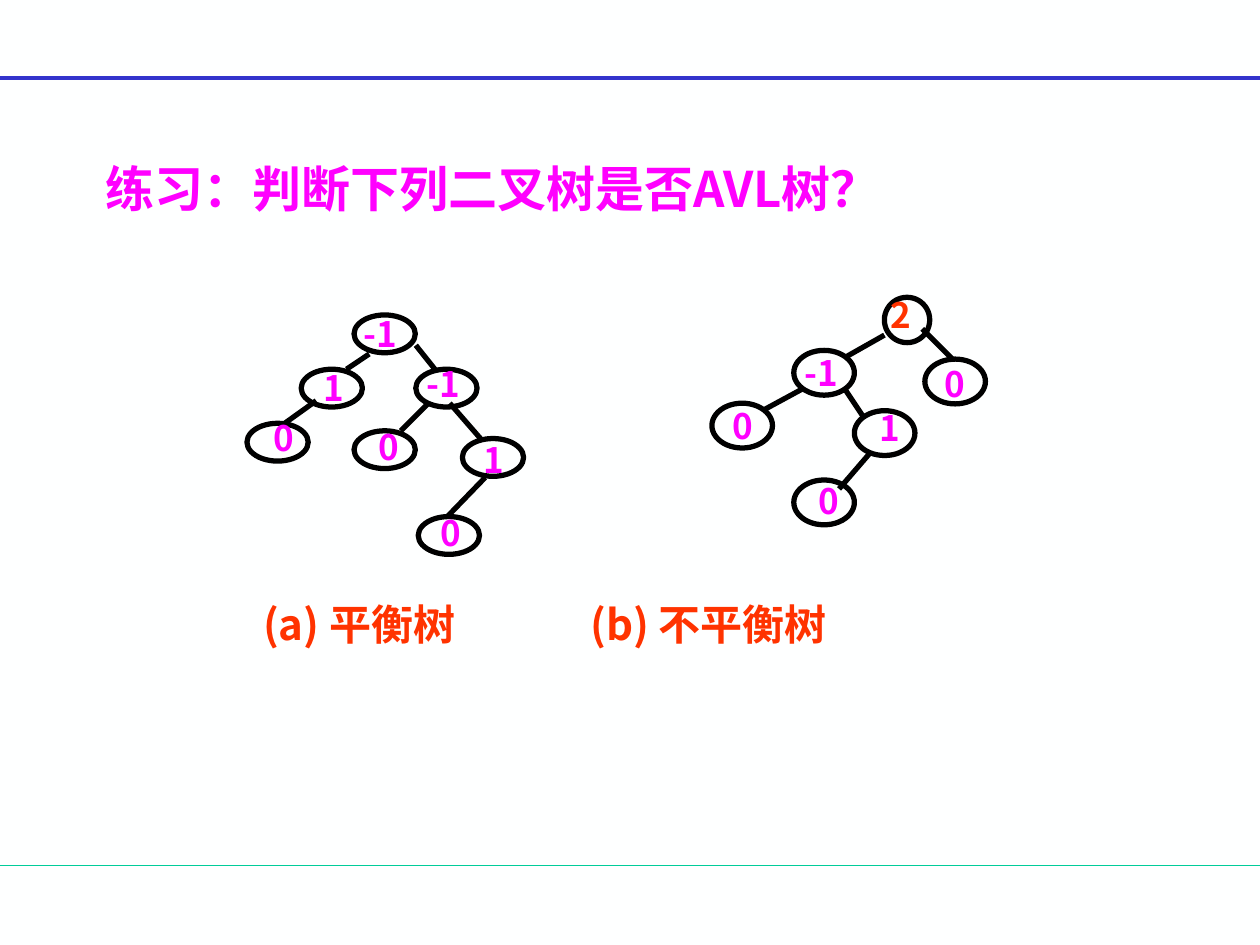
from dataclasses import dataclass

from pptx import Presentation
from pptx.dml.color import RGBColor
from pptx.enum.shapes import MSO_CONNECTOR as Connector, MSO_SHAPE as Preset
from pptx.enum.text import MSO_ANCHOR as Anchor, MSO_AUTO_SIZE as AutoSize, PP_ALIGN as Align
from pptx.oxml.ns import qn
from pptx.util import Pt
from lxml.etree import SubElement


@dataclass(frozen=True)
class Theme:
    """Colours, font and type sizes of the slide."""
    font: str = "Noto Sans CJK SC"
    background: str = "FEFFFF"
    ink: str = "000000"
    accent: str = "FF00FF"
    alert: str = "FF3300"
    header_rule: str = "3333CC"
    footer_rule: str = "00CC99"
    title_size: float = 28
    caption_size: float = 24
    label_size: float = 20
    stroke: float = 3


THEME = Theme()
LABEL_WIDTHS = {1: 26.6, 2: 38.2}
LABEL_HEIGHT = 31.7

# Nodes hold text, node left and top, label left and top; edges hold both ends.
BALANCED_NODES = [
    ("-1", 202.3, 180, 200.9, 175),
    ("1", 172.1, 211, 177.8, 205.9),
    ("-1", 237.6, 211, 236.9, 203.8),
    ("0", 141.1, 241.9, 149, 234.7),
    ("0", 202.3, 246.2, 209.5, 239.8),
    ("1", 264.2, 250.6, 269.3, 247),
    ("0", 239, 295.2, 244.8, 288.7),
]
BALANCED_EDGES = [
    (211, 202.3, 198, 211),
    (237.6, 197.3, 249.1, 211.7),
    (180.7, 229, 162.7, 241.9),
    (244.8, 230.4, 229, 246.2),
    (257, 230.4, 275.8, 252),
    (277.2, 272.9, 255.6, 295.2),
]
UNBALANCED_ROOT = [("2", 505.4, 169.9, 501.8, 164.2)]
UNBALANCED_NODES = [
    ("-1", 453.6, 200.2, 452.9, 197.3),
    ("0", 528.5, 205.2, 532.8, 203.8),
    ("0", 406.8, 230.4, 411.8, 227.5),
    ("1", 488.2, 234.7, 495.4, 229),
    ("0", 453.6, 274.3, 460.8, 270.7),
]
UNBALANCED_EDGES = [
    (505.4, 191.5, 482.4, 204.5),
    (527, 187.9, 545, 205.9),
    (459.4, 221.8, 435.6, 234.7),
    (482.4, 221.8, 493.9, 239),
    (497.5, 258.5, 479.5, 279.4),
]


def write_text(shape, text, size, color):
    """Fill a shape with one bold, left-aligned paragraph."""
    frame = shape.text_frame
    frame.text = text
    frame.word_wrap = True
    frame.auto_size = AutoSize.NONE
    frame.vertical_anchor = Anchor.TOP
    paragraph = frame.paragraphs[0]
    paragraph.alignment = Align.LEFT
    for run in paragraph.runs:
        run.font.name = THEME.font
        run.font.size = Pt(size)
        run.font.bold = True
        run.font.color.rgb = RGBColor.from_string(color)
        SubElement(run.font._element, qn("a:ea"), typeface=THEME.font)
    return paragraph


def add_title(slide, text, left, top, width, height):
    """Place and format the title placeholder."""
    title = slide.shapes.title
    title.left, title.top, title.width, title.height = map(Pt, (left, top, width, height))
    write_text(title, text, THEME.title_size, THEME.accent)


def add_text(slide, text, left, top, width, height, size, color):
    """Add a text box and return its paragraph."""
    box = slide.shapes.add_textbox(Pt(left), Pt(top), Pt(width), Pt(height))
    return write_text(box, text, size, color)


def add_captions(slide, first, second, tab_position):
    """Add both tree captions on one line, separated by a tab stop."""
    paragraph = add_text(slide, f"{first}\t{second}", 143.3, 338.4, 432, 64.8,
                         THEME.caption_size, THEME.alert)
    tabs = SubElement(paragraph._p.get_or_add_pPr(), qn("a:tabLst"))
    SubElement(tabs, qn("a:tab"), pos=str(Pt(tab_position)), algn="l")


def add_line(slide, ends, color=THEME.ink, weight=THEME.stroke):
    """Add a straight line without a shadow."""
    line = slide.shapes.add_connector(Connector.STRAIGHT, *map(Pt, ends))
    line.line.color.rgb = RGBColor.from_string(color)
    line.line.width = Pt(weight)
    SubElement(line._element.spPr, qn("a:effectLst"))


def add_node(slide, left, top, width, height):
    """Add an unfilled tree node."""
    node = slide.shapes.add_shape(Preset.OVAL, Pt(left), Pt(top), Pt(width), Pt(height))
    node.shadow.inherit = False
    node.fill.background()
    node.line.color.rgb = RGBColor.from_string(THEME.ink)
    node.line.width = Pt(THEME.stroke)


def add_tree(slide, nodes, edges, width, height, color=THEME.accent):
    """Add nodes, edges and balance factors of a tree."""
    for _, left, top, _, _ in nodes:
        add_node(slide, left, top, width, height)
    for ends in edges:
        add_line(slide, ends)
    for text, _, _, left, top in nodes:
        add_text(slide, text, left, top, LABEL_WIDTHS[len(text)], LABEL_HEIGHT,
                 THEME.label_size, color)


def main():
    """Build and save the slide."""
    presentation = Presentation()
    presentation.slide_width, presentation.slide_height = Pt(720), Pt(540)
    slide = presentation.slides.add_slide(presentation.slide_layouts[5])
    slide.background.fill.solid()
    slide.background.fill.fore_color.rgb = RGBColor.from_string(THEME.background)

    add_line(slide, (0, 494.6, 720, 494.6), THEME.footer_rule, 0.75)
    add_line(slide, (0, 44.6, 720, 44.6), THEME.header_rule, 2.25)
    add_title(slide, "练习：判断下列二叉树是否AVL树？", 53.3, 87.1, 527.8, 41)
    add_tree(slide, BALANCED_NODES, BALANCED_EDGES, 35, 21.6)
    add_tree(slide, UNBALANCED_ROOT, [], 25.9, 25.9, THEME.alert)
    add_tree(slide, UNBALANCED_NODES, UNBALANCED_EDGES, 34.6, 25.6)
    add_captions(slide, "(a) 平衡树", "(b) 不平衡树", 187)
    presentation.save("out.pptx")


if __name__ == "__main__":
    main()
